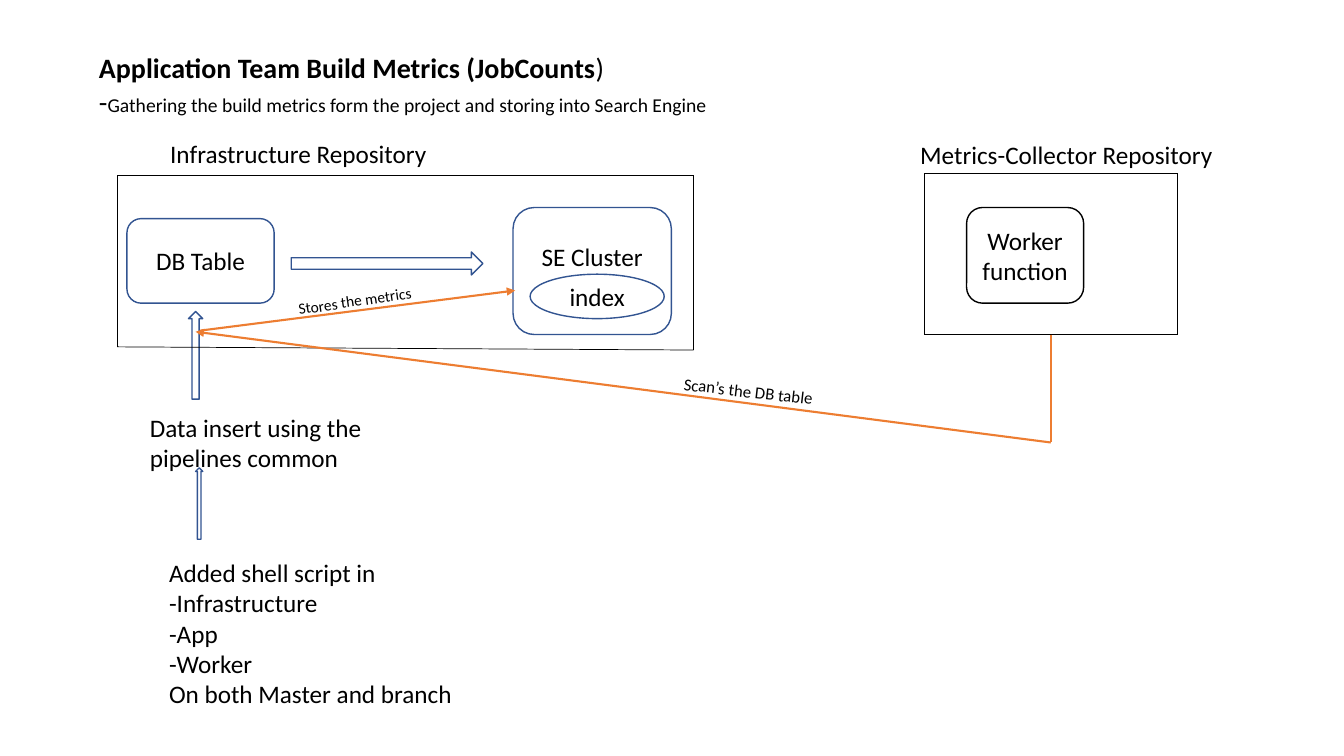
import lxml.etree
import pptx
import pptx.dml.color
import pptx.enum.shapes
import pptx.enum.text
import pptx.oxml.ns
import pptx.util

Cm = pptx.util.Cm
SHAPES = pptx.enum.shapes.MSO_SHAPE
ALIGN = pptx.enum.text.PP_ALIGN
ANCHOR = pptx.enum.text.MSO_ANCHOR
BLACK, WHITE, BLUE, ORANGE = "000000", "FFFFFF", "325491", "ED7D31"


def color(hex_string):
    return pptx.dml.color.RGBColor.from_string(hex_string)


def add_xml(parent, tag, **attributes):
    return lxml.etree.SubElement(parent, pptx.oxml.ns.qn(tag), attributes)


def write(shape, text, size=18, bold=False, align=ALIGN.LEFT,
          anchor=ANCHOR.TOP, wrap=True):
    """Add lines of text to a shape; the first joins its last paragraph."""
    frame = shape.text_frame
    frame.word_wrap = wrap
    frame.vertical_anchor = anchor
    frame.auto_size = pptx.enum.text.MSO_AUTO_SIZE.NONE
    for index, line in enumerate(text.split("\n")):
        paragraph = frame.add_paragraph() if index else frame.paragraphs[-1]
        paragraph.alignment = align
        paragraph.space_before = pptx.util.Pt(0)
        run = paragraph.add_run()
        run.text = line
        run.font.name = "Calibri"
        run.font.size = pptx.util.Pt(size)
        run.font.bold = bold
        run.font.color.rgb = color(BLACK)


def add_label(slide, box, text, rotation=0, **text_format):
    label = slide.shapes.add_textbox(*map(Cm, box))
    label.rotation = rotation
    write(label, text, **text_format)


def add_block(slide, kind, box, text="", line=BLUE):
    block = slide.shapes.add_shape(kind, *map(Cm, box))
    block.shadow.inherit = False
    block.fill.solid()
    block.fill.fore_color.rgb = color(WHITE)
    block.line.color.rgb = color(line)
    block.line.width = pptx.util.Pt(1)
    if text:
        write(block, text, align=ALIGN.CENTER, anchor=ANCHOR.MIDDLE)
    return block


def add_line(slide, start, end, line=ORANGE, width=1.5, arrow=False):
    connector = slide.shapes.add_connector(
        pptx.enum.shapes.MSO_CONNECTOR.STRAIGHT, *map(Cm, start + end))
    connector.line.color.rgb = color(line)
    connector.line.width = pptx.util.Pt(width)
    if arrow:
        add_xml(connector.line._get_or_add_ln(), "a:tailEnd", type="triangle")
    add_xml(connector._element.spPr, "a:effectLst")


def add_frame(slide, box, right_extra=0):
    """Draw a frame of four lines; its right side may hang a little lower."""
    left, top, width, height = box
    right, bottom = left + width, top + height
    corners = [(left, top), (right, top), (right, bottom + right_extra), (left, bottom)]
    for start, end in zip(corners, corners[1:] + corners[:1]):
        add_line(slide, start, end, line=BLACK, width=0.5)


def place(shape, box):
    shape.left, shape.top, shape.width, shape.height = map(Cm, box)


def add_heading(slide, box):
    left, top, width, height = box
    title, body = slide.shapes.title, slide.placeholders[1]
    place(title, (left, top, width, height / 2))
    write(title, "Application Team Build Metrics (JobCounts", size=20, bold=True)
    write(title, ")", size=20)

    # Summary line without a bullet
    place(body, (left, top + 0.85, width, height / 2))
    write(body, "-", size=20)
    write(body, "Gathering the build metrics form the project and storing "
          "into Search Engine", size=14)
    properties = body.text_frame.paragraphs[0]._p.get_or_add_pPr()
    properties.set("marL", "0")
    properties.set("indent", "0")
    add_xml(properties, "a:buNone")


def add_pipeline(slide, box):
    left, top, width, height = box
    add_block(slide, SHAPES.UP_ARROW, (left + 1.22, top, 0.36, 2.21))
    add_label(slide, (left, top + 2.41, 6.02, 1.8),
              "Data insert using the pipelines common")
    add_block(slide, SHAPES.UP_ARROW, (left + 1.4, top + 3.94, 0.18, 1.8))
    add_label(slide, (left + 0.48, top + 6.07, width - 0.48, height - 6.07),
              "Added shell script in\n-Infrastructure\n-App\n-Worker\n"
              "On both Master and branch")


def add_infrastructure(slide, box):
    left, top = box[:2]
    add_frame(slide, box, right_extra=0.08)
    add_label(slide, (left + 1.09, top - 1.07, 7.04, 1.02),
              "Infrastructure Repository", wrap=False)

    # Table, cluster and its index
    add_block(slide, SHAPES.ROUNDED_RECTANGLE, (left + 0.25, top + 1.09, 3.71, 2.13),
              "DB Table")
    cluster = add_block(slide, SHAPES.ROUNDED_RECTANGLE,
                        (left + 9.98, top + 0.81, 3.99, 3.2), "SE Cluster")
    cluster.text_frame.margin_bottom = Cm(0.87)
    add_block(slide, SHAPES.OVAL, (left + 10.41, top + 2.49, 3.38, 1.12), "index")
    add_block(slide, SHAPES.RIGHT_ARROW, (left + 4.39, top + 1.93, 4.83, 0.58))

    # Metrics stored in the cluster
    add_line(slide, (left + 2.1, top + 3.91), (left + 10.03, top + 2.9), arrow=True)
    add_label(slide, (left + 4.31, top + 2.79, 3.4, 0.74), "Stores the metrics",
              rotation=351.4, size=11, wrap=False)


def add_collector(slide, box, scan_target):
    left, top, width, height = box
    add_frame(slide, box)
    add_label(slide, (left - 0.35, top - 0.99, 7.95, 1.02),
              "Metrics-Collector Repository", wrap=False)
    add_block(slide, SHAPES.ROUNDED_RECTANGLE, (left + 1.07, top + 0.86, 2.95, 2.41),
              "Worker\nfunction", line=BLACK)

    # Scan path back to the table
    middle, bottom = left + width / 2, top + height
    bend = (middle, bottom + 2.72)
    add_line(slide, (middle, bottom), bend)
    add_line(slide, bend, scan_target, arrow=True)
    add_label(slide, (left - 6.32, bottom + 1.2, 6.53, 0.76), "Scan’s the DB table",
              rotation=6.5, size=12)


def main():
    presentation = pptx.Presentation()
    presentation.slide_width = Cm(33.87)
    presentation.slide_height = Cm(19.05)
    slide = presentation.slides.add_slide(presentation.slide_layouts[1])
    add_heading(slide, (2.24, 1.14, 18, 2))
    add_pipeline(slide, (3.53, 7.85, 8.15, 10.18))
    add_infrastructure(slide, (2.95, 4.42, 14.53, 4.32))
    add_collector(slide, (23.29, 4.37, 6.38, 4.06), scan_target=(4.93, 8.36))
    presentation.save("out.pptx")


if __name__ == "__main__":
    main()
